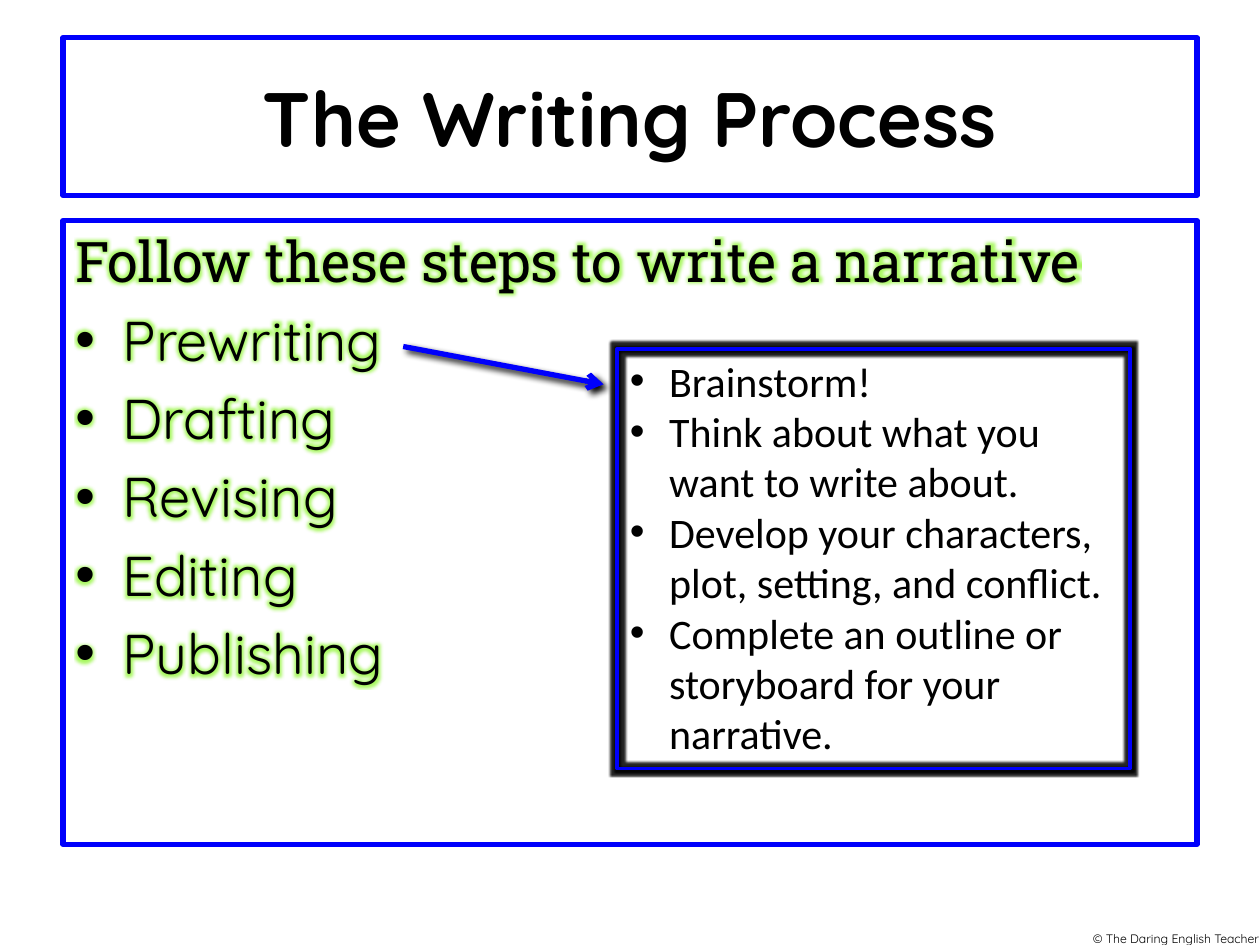
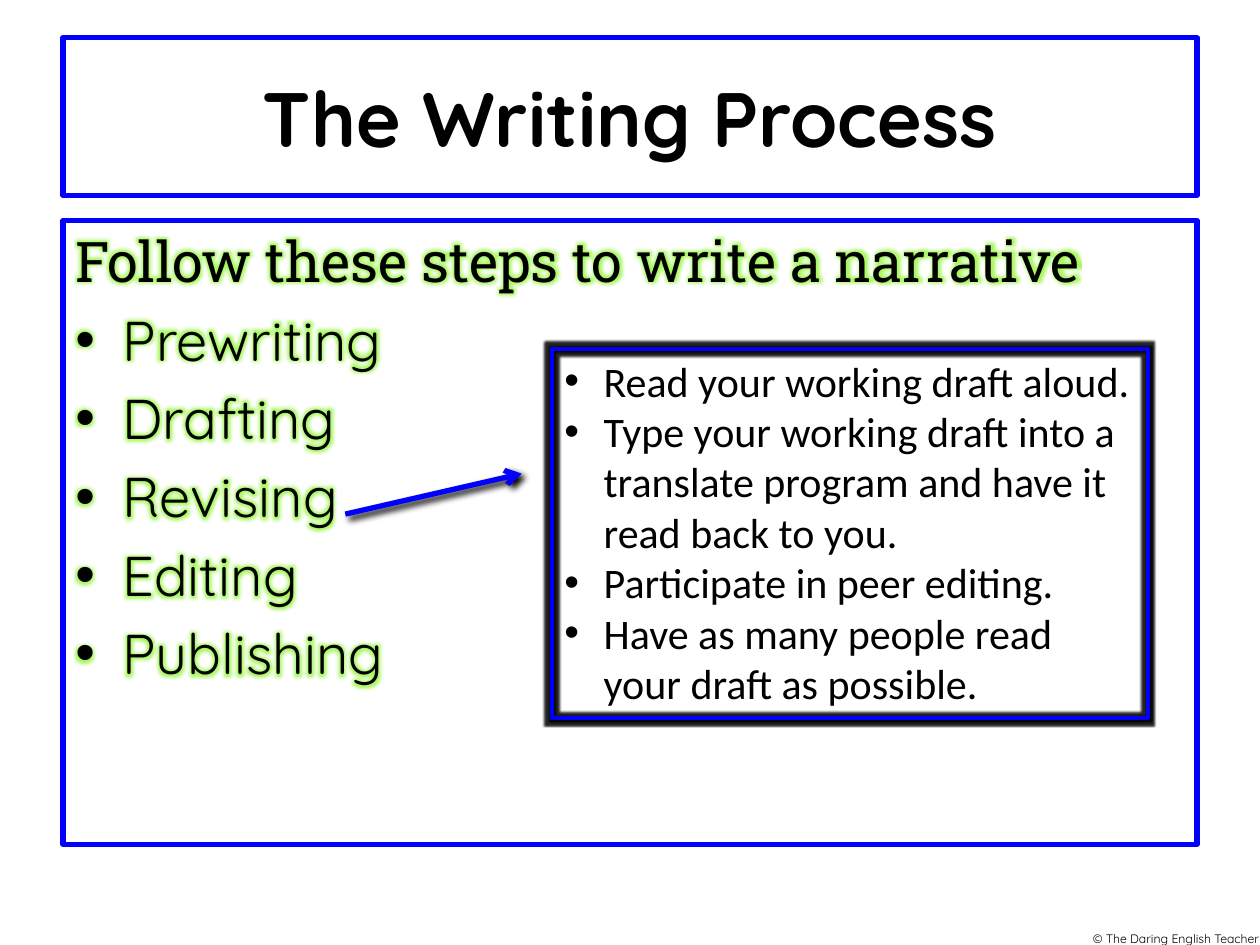
from lxml import etree
from pptx import Presentation
from pptx.dml.color import RGBColor
from pptx.enum.shapes import MSO_CONNECTOR, MSO_SHAPE
from pptx.enum.text import MSO_ANCHOR, PP_ALIGN
from pptx.oxml.ns import qn
from pptx.util import Pt

RECT, LINE = MSO_SHAPE.RECTANGLE, MSO_CONNECTOR.STRAIGHT
LEFT, MID, RIGHT = PP_ALIGN.LEFT, PP_ALIGN.CENTER, PP_ALIGN.RIGHT
TOP, CENTER = MSO_ANCHOR.TOP, MSO_ANCHOR.MIDDLE


class Theme:
    ink = RGBColor(0, 0, 0)
    paper = RGBColor(255, 255, 255)
    blue = RGBColor(0, 0, 0xFC)
    dark, lime = "000000", "8CF52D"
    round_font, slab_font, note_font = "Quicksand", "Roboto Slab", "Calibri"
    title, body, note, foot = Pt(44), Pt(32), Pt(24), Pt(7)
    thick, thin = Pt(3), Pt(2.25)
    text_glow, note_glow = Pt(5), Pt(2)
    step_gap = Pt(6.4)
    step_dent, note_dent = Pt(27), Pt(22.5)


def write(frame, lines, font, size, align=LEFT, dent=0, gap=0, bold=False, fresh=True):
    """Fill a text frame with paragraphs, bulleted when dent is set."""
    frame.word_wrap = True
    for i, line in enumerate(lines):
        para = frame.paragraphs[0] if fresh and i == 0 else frame.add_paragraph()
        para.text, para.alignment = line, align
        if gap:
            para.space_before = gap
        if dent:
            props = para._p.get_or_add_pPr()
            props.set("marL", str(dent))
            props.set("indent", str(-dent))
            etree.SubElement(props, qn("a:buFont"), typeface="Arial")
            etree.SubElement(props, qn("a:buChar"), char="•")
        para.font.name, para.font.size, para.font.bold = font, size, bold
        para.font.color.rgb = Theme.ink


def effect(owner, kind, color, alpha, **attrs):
    """Add a glow or shadow to a shape's or run's properties."""
    group = owner.find(qn("a:effectLst"))
    if group is None:
        group = etree.SubElement(owner, qn("a:effectLst"))
    item = etree.SubElement(group, qn("a:" + kind), {k: str(v) for k, v in attrs.items()})
    tint = etree.SubElement(item, qn("a:srgbClr"), val=color)
    etree.SubElement(tint, qn("a:alpha"), val=str(alpha * 1000))


steps = ["Prewriting", "Drafting", "Revising", "Editing", "Publishing"]

# Each slide: arrow ends, note box, note lines
slides = [
    ((230.4, 198, 344.9, 219.6), (352.8, 199.4, 293, 239.8), [
        "Brainstorm!",
        "Think about what you want to write about.",
        "Develop your characters, plot, setting, and conflict.",
        "Complete an outline or storyboard for your narrative.",
    ]),
    ((197.3, 293.8, 298.1, 270.7), (315.4, 199.4, 340.6, 211), [
        "Read your working draft aloud.",
        "Type your working draft into a translate program and have it read back to you.",
        "Participate in peer editing.",
        "Have as many people read your draft as possible.",
    ]),
]

deck = Presentation()
deck.slide_width, deck.slide_height = Pt(720), Pt(540)

for ends, place, notes in slides:
    slide = deck.slides.add_slide(deck.slide_layouts[6])
    shapes = slide.shapes

    # Footer
    foot = shapes.add_textbox(Pt(567.4), Pt(528.5), Pt(159.1), Pt(15.8))
    write(foot.text_frame, ["© The Daring English Teacher"],
          Theme.round_font, Theme.foot, RIGHT)

    # Title and body frames
    frames = []
    for top, high, anchor in ((21.6, 90, CENTER), (126, 356.4, TOP)):
        panel = shapes.add_shape(RECT, Pt(36), Pt(top), Pt(648), Pt(high))
        panel.shadow.inherit = False
        panel.fill.solid()
        panel.fill.fore_color.rgb = Theme.paper
        panel.line.color.rgb, panel.line.width = Theme.blue, Theme.thick
        panel.text_frame.vertical_anchor = anchor
        frames.append(panel.text_frame)
    head, body = frames
    write(head, ["The Writing Process"], Theme.round_font, Theme.title, MID, bold=True)

    # Glowing list of steps
    write(body, ["Follow these steps to write a narrative"], Theme.slab_font, Theme.body)
    write(body, steps, Theme.round_font, Theme.body,
          dent=Theme.step_dent, gap=Theme.step_gap, fresh=False)
    for para in body.paragraphs:
        for run in para.runs:
            effect(run._r.get_or_add_rPr(), "glow", Theme.lime, 75, rad=Theme.text_glow)

    # Arrow from step to note
    arrow = shapes.add_connector(LINE, *map(Pt, ends))
    arrow.line.color.rgb, arrow.line.width = Theme.blue, Theme.thick
    props = arrow._element.spPr
    etree.SubElement(props.find(qn("a:ln")), qn("a:tailEnd"), type="arrow")
    effect(props, "outerShdw", Theme.dark, 100,
           blurRad=Pt(4), dist=Pt(3), dir=45 * 60000)

    # Note box with a narrow dark glow
    note = shapes.add_shape(RECT, *map(Pt, place))
    note.shadow.inherit = False
    note.fill.background()
    note.line.color.rgb, note.line.width = Theme.blue, Theme.thin
    effect(note._element.spPr, "glow", Theme.dark, 85, rad=Theme.note_glow)
    note.text_frame.vertical_anchor = TOP
    write(note.text_frame, notes, Theme.note_font, Theme.note, dent=Theme.note_dent)

deck.save("out.pptx")
